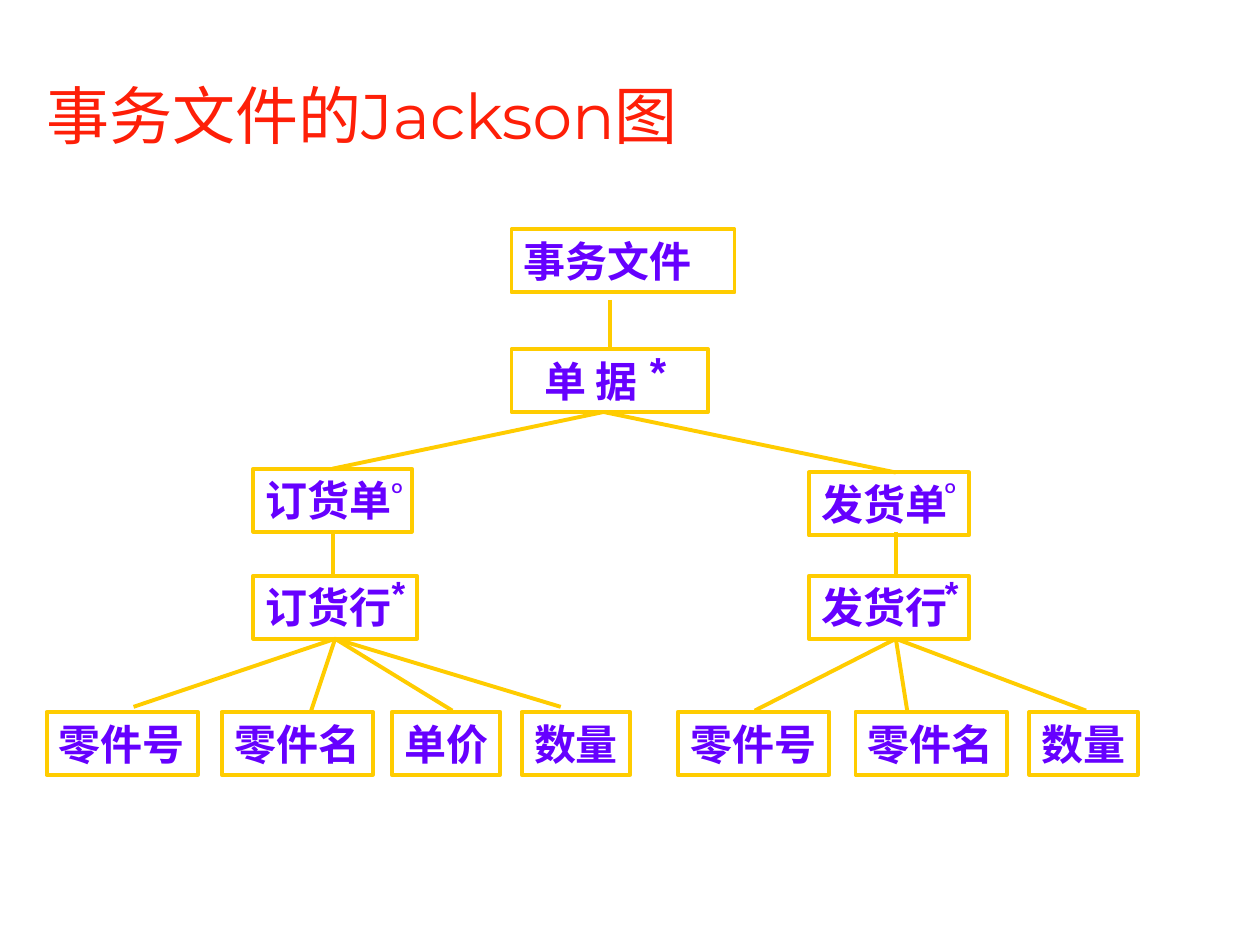
from lxml import etree
from pptx import Presentation
from pptx.dml.color import RGBColor
from pptx.enum.shapes import MSO_CONNECTOR, MSO_SHAPE
from pptx.enum.text import MSO_ANCHOR, PP_ALIGN
from pptx.oxml.ns import qn
from pptx.util import Inches, Pt

COLORS = {"title": "FE1F08", "label": "6600FF", "line": "FFCC00"}
BOX_HEIGHT = 0.5
LEAF_TOP = 5.65
TOP, BOTTOM = 0, 2


def write(shape, text, size, color="label", font="Arial", bold=True):
    paragraph = shape.text_frame.paragraphs[0]
    paragraph.text = text
    paragraph.alignment = PP_ALIGN.LEFT
    paragraph.font.name = font
    paragraph.font.size = Pt(size)
    paragraph.font.bold = bold
    paragraph.font.color.rgb = RGBColor.from_string(COLORS[color])


def style_line(line):
    line.color.rgb = RGBColor.from_string(COLORS["line"])
    line.width = Pt(2.25)


def add_title(slide, text):
    title = slide.shapes.add_textbox(Inches(0.27), Inches(0.36), Inches(9.06), Inches(1.1))
    title.text_frame.word_wrap = True
    title.text_frame.vertical_anchor = MSO_ANCHOR.MIDDLE
    write(title, text, 36, color="title", font="Montserrat", bold=False)


def add_node(slide, text, left, top, width, margin=0.1, wrap=True):
    node = slide.shapes.add_shape(
        MSO_SHAPE.RECTANGLE, Inches(left), Inches(top), Inches(width), Inches(BOX_HEIGHT))
    node.shadow.inherit = False
    node.fill.background()
    style_line(node.line)
    node.text_frame.word_wrap = wrap
    node.text_frame.vertical_anchor = MSO_ANCHOR.TOP
    node.text_frame.margin_left = Inches(margin)
    write(node, text, 24)
    return node


def add_mark(slide, text, left, top, width, height, size):
    """Add a Jackson mark: * for iteration, O for selection."""
    mark = slide.shapes.add_textbox(Inches(left), Inches(top), Inches(width), Inches(height))
    mark.text_frame.word_wrap = False
    write(mark, text, size)


def link(slide, start, end, parent=None, child=None):
    """Draw a branch, joined to the nodes whose side middles it meets."""
    branch = slide.shapes.add_connector(
        MSO_CONNECTOR.STRAIGHT, *(Inches(value) for value in (*start, *end)))
    style_line(branch.line)
    etree.SubElement(branch._element.spPr, qn("a:effectLst"))
    if parent is not None:
        branch.begin_connect(parent, BOTTOM)
    if child is not None:
        branch.end_connect(child, TOP)


def add_leaves(slide, leaves, origin, parent=None):
    """Add the bottom row under a line node: text, left, width, branch end."""
    for text, left, width, end in leaves:
        add_node(slide, text, left, LEAF_TOP, width, wrap=False)
        link(slide, origin, end, parent)


def main():
    prs = Presentation()
    prs.slide_width, prs.slide_height = Inches(10), Inches(7.5)
    slide = prs.slides.add_slide(prs.slide_layouts[6])

    add_title(slide, "事务文件的Jackson图")

    add_node(slide, "事务文件", 4.06, 1.82, 1.77)
    document = add_node(slide, "单 据", 4.06, 2.77, 1.56, margin=0.26)
    order = add_node(slide, "订货单", 2.01, 3.72, 1.26)
    add_node(slide, "发货单", 6.42, 3.75, 1.27)
    order_line = add_node(slide, "订货行", 2.01, 4.57, 1.3)
    add_node(slide, "发货行", 6.42, 4.57, 1.27)

    add_mark(slide, "*", 5.06, 2.69, 0.33, 0.5, 24)
    for left in (3.01, 7.4):
        add_mark(slide, "O", left, 3.76, 0.28, 0.24, 8)
        add_mark(slide, "*", left, 4.49, 0.31, 0.44, 20)

    order_x, delivery_x = 2.64, 7.11
    fork = (4.79, 3.27)
    link(slide, (4.84, 2.38), (4.84, 2.77), child=document)
    link(slide, fork, (order_x, 3.72), child=order)
    link(slide, fork, (delivery_x, 3.75))
    link(slide, (order_x, 4.22), (order_x, 4.58), parent=order)
    link(slide, (delivery_x, 4.22), (delivery_x, 4.58))

    order_leaves = [
        ("零件号", 0.37, 1.2, (1.06, 5.61)),
        ("零件名", 1.76, 1.2, (2.47, 5.64)),
        ("单价", 3.11, 0.86, (3.59, 5.64)),
        ("数量", 4.14, 0.86, (4.45, 5.61)),
    ]
    delivery_leaves = [
        ("零件号", 5.38, 1.2, (5.99, 5.64)),
        ("零件名", 6.79, 1.2, (7.2, 5.64)),
        ("数量", 8.17, 0.86, (8.62, 5.64)),
    ]
    add_leaves(slide, order_leaves, (order_x, 5.07), order_line)
    add_leaves(slide, delivery_leaves, (delivery_x, 5.07))

    prs.save("out.pptx")


if __name__ == "__main__":
    main()
